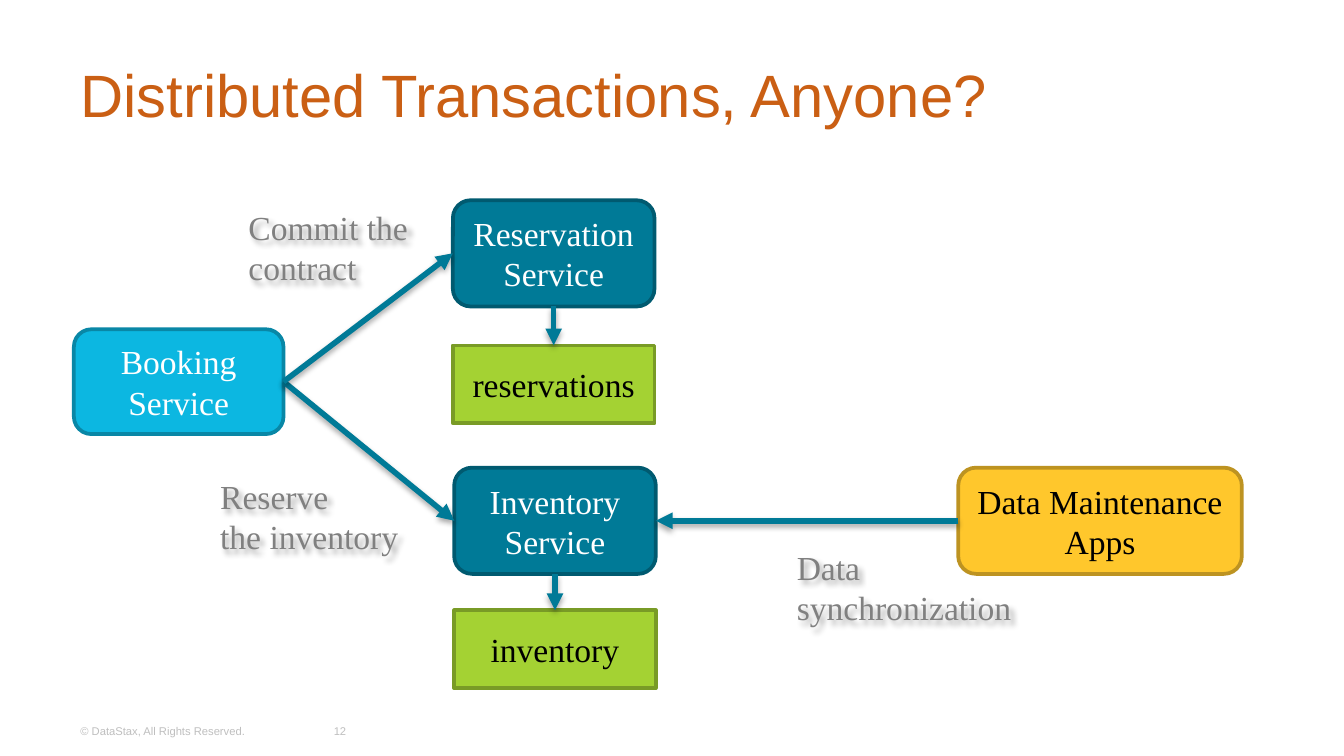
"""Build the distributed transactions slide."""
from lxml.etree import SubElement
from pptx import Presentation
from pptx.dml.color import RGBColor
from pptx.enum.shapes import MSO_CONNECTOR, MSO_SHAPE
from pptx.enum.text import MSO_ANCHOR, PP_ALIGN
from pptx.oxml import parse_xml
from pptx.oxml.ns import nsdecls, qn
from pptx.util import Inches, Pt

ORANGE = RGBColor(0xCA, 0x5F, 0x14)
SILVER = RGBColor(0xBF, 0xBF, 0xBF)
GRAY = RGBColor(0x80, 0x80, 0x80)
WHITE = RGBColor(0xFF, 0xFF, 0xFF)
BLACK = RGBColor(0x00, 0x00, 0x00)
TEAL = RGBColor(0x00, 0x7A, 0x97)
TEAL_EDGE = RGBColor(0x00, 0x5A, 0x70)
SKY = RGBColor(0x0C, 0xB7, 0xE1)
SKY_EDGE = RGBColor(0x09, 0x87, 0xA6)
YELLOW = RGBColor(0xFF, 0xC7, 0x2C)
YELLOW_EDGE = RGBColor(0xBD, 0x93, 0x21)
GREEN = RGBColor(0xA4, 0xD2, 0x33)
GREEN_EDGE = RGBColor(0x79, 0x9B, 0x26)

SANS, SERIF = "Arial", "Times New Roman"
TOP, LEFT, BOTTOM, RIGHT = range(4)


def add_shadow(sp, degrees, distance):
    sp._element.spPr.append(parse_xml(
        f'<a:effectLst {nsdecls("a")}>'
        f'<a:outerShdw blurRad="40000" dist="{Pt(distance)}" dir="{degrees * 60000}"'
        ' rotWithShape="0"><a:srgbClr val="000000"><a:alpha val="35000"/></a:srgbClr>'
        '</a:outerShdw></a:effectLst>'
    ))


def write(sp, text, font, size, color, align=PP_ALIGN.LEFT, anchor=MSO_ANCHOR.MIDDLE):
    tf = sp.text_frame
    tf.text = text
    tf.vertical_anchor = anchor
    for p in tf.paragraphs:
        p.alignment = align
        for r in p.runs:
            r.font.name = font
            r.font.size = Pt(size)
            r.font.color.rgb = color


def add_text(s, at, text, size, color, align=PP_ALIGN.LEFT):
    sp = s.shapes.add_textbox(*map(Inches, at))
    sp.text_frame.word_wrap = True
    write(sp, text, SANS, size, color, align)


def add_label(s, at, text):
    sp = s.shapes.add_textbox(*map(Inches, at))
    sp.text_frame.word_wrap = False
    write(sp, text, SERIF, 18, GRAY, anchor=MSO_ANCHOR.TOP)
    add_shadow(sp, 45, 3)


def add_box(s, kind, at, text, fill, edge, color):
    sp = s.shapes.add_shape(kind, *map(Inches, at))
    sp.shadow.inherit = False
    sp.fill.solid()
    sp.fill.fore_color.rgb = fill
    sp.line.color.rgb = edge
    sp.line.width = Pt(2)
    write(sp, text, SERIF, 18, color, PP_ALIGN.CENTER)
    return sp


def add_app(s, at, text, fill, edge, color=WHITE):
    return add_box(s, MSO_SHAPE.ROUNDED_RECTANGLE, at, text, fill, edge, color)


def add_service(s, x, y, text):
    return add_app(s, (x, y, 1.5, 0.79), text, TEAL, TEAL_EDGE)


def add_store(s, x, y, text):
    return add_box(s, MSO_SHAPE.RECTANGLE, (x, y, 1.5, 0.58), text, GREEN, GREEN_EDGE, BLACK)


def add_arrow(s, start, start_side, end, end_side):
    line = s.shapes.add_connector(MSO_CONNECTOR.STRAIGHT, 0, 0, 0, 0)
    line.begin_connect(start, start_side)
    line.end_connect(end, end_side)
    line.line.color.rgb = TEAL
    line.line.width = Pt(3)
    SubElement(line.line._get_or_add_ln(), qn("a:tailEnd"), type="triangle")
    add_shadow(line, 90, 1.8)


def main():
    prs = Presentation()
    prs.slide_width = Inches(10)
    prs.slide_height = prs.slide_width * 9 // 16
    s = prs.slides.add_slide(prs.slide_layouts[6])

    add_text(s, (0.5, 0.23, 9, 0.94), "Distributed Transactions, Anyone?", 32, ORANGE)
    add_text(s, (0.5, 5.29, 1.74, 0.3), "© DataStax, All Rights Reserved.", 6, SILVER)
    add_text(s, (2.31, 5.29, 0.44, 0.3), "12", 6, SILVER, PP_ALIGN.CENTER)

    add_label(s, (1.75, 1.49, 1.4, 0.71), "Commit the\ncontract")
    add_label(s, (1.54, 3.49, 1.54, 0.71), "Reserve\nthe inventory")

    booking = add_app(s, (0.55, 2.45, 1.56, 0.78), "Booking Service", SKY, SKY_EDGE)
    maintenance = add_app(s, (7.13, 3.48, 2.11, 0.79), "Data Maintenance Apps",
                          YELLOW, YELLOW_EDGE, BLACK)
    inventory = add_service(s, 3.38, 3.48, "Inventory Service")
    reservation = add_service(s, 3.37, 1.49, "Reservation Service")
    inventory_store = add_store(s, 3.38, 4.54, "inventory")
    reservation_store = add_store(s, 3.37, 2.57, "reservations")

    add_arrow(s, booking, RIGHT, inventory, LEFT)
    add_arrow(s, booking, RIGHT, reservation, LEFT)
    add_arrow(s, maintenance, LEFT, inventory, RIGHT)
    add_arrow(s, inventory, BOTTOM, inventory_store, TOP)
    add_arrow(s, reservation, BOTTOM, reservation_store, TOP)

    add_label(s, (5.83, 4.02, 1.81, 0.71), "Data\nsynchronization")
    prs.save("out.pptx")


if __name__ == "__main__":
    main()
